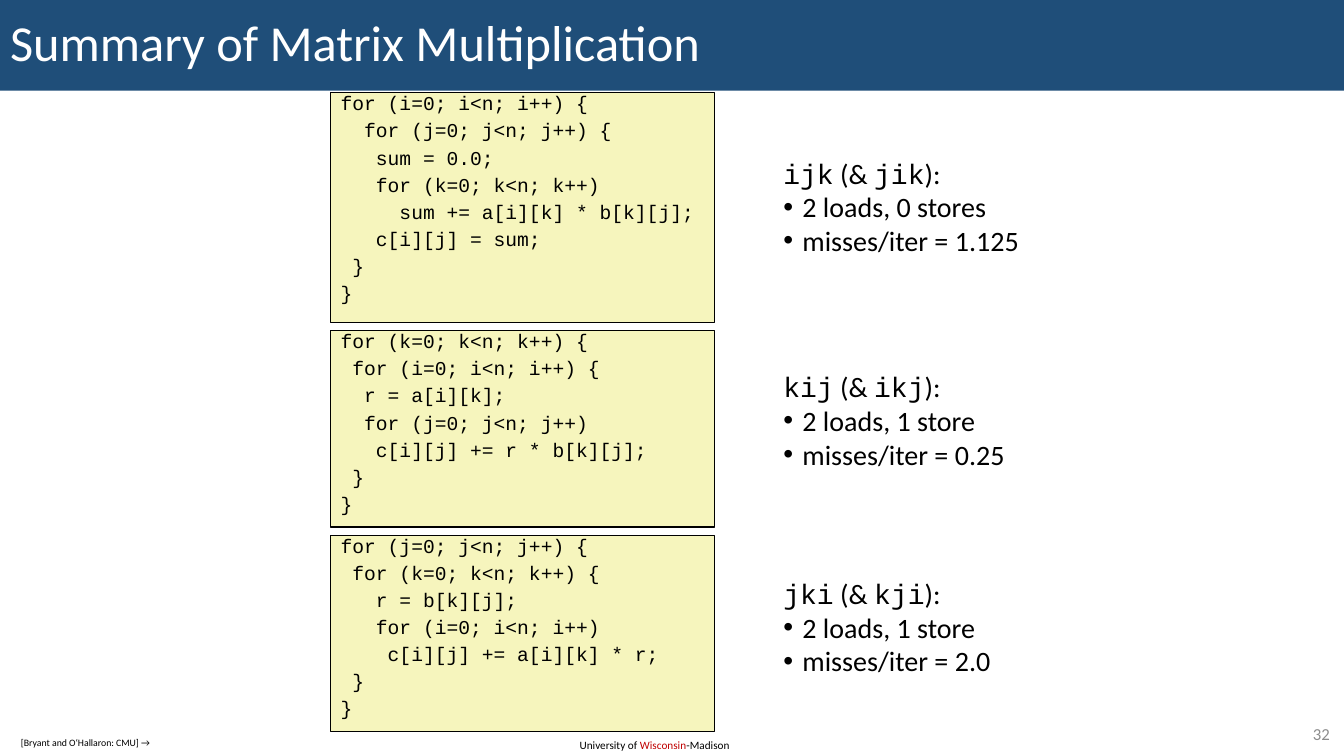
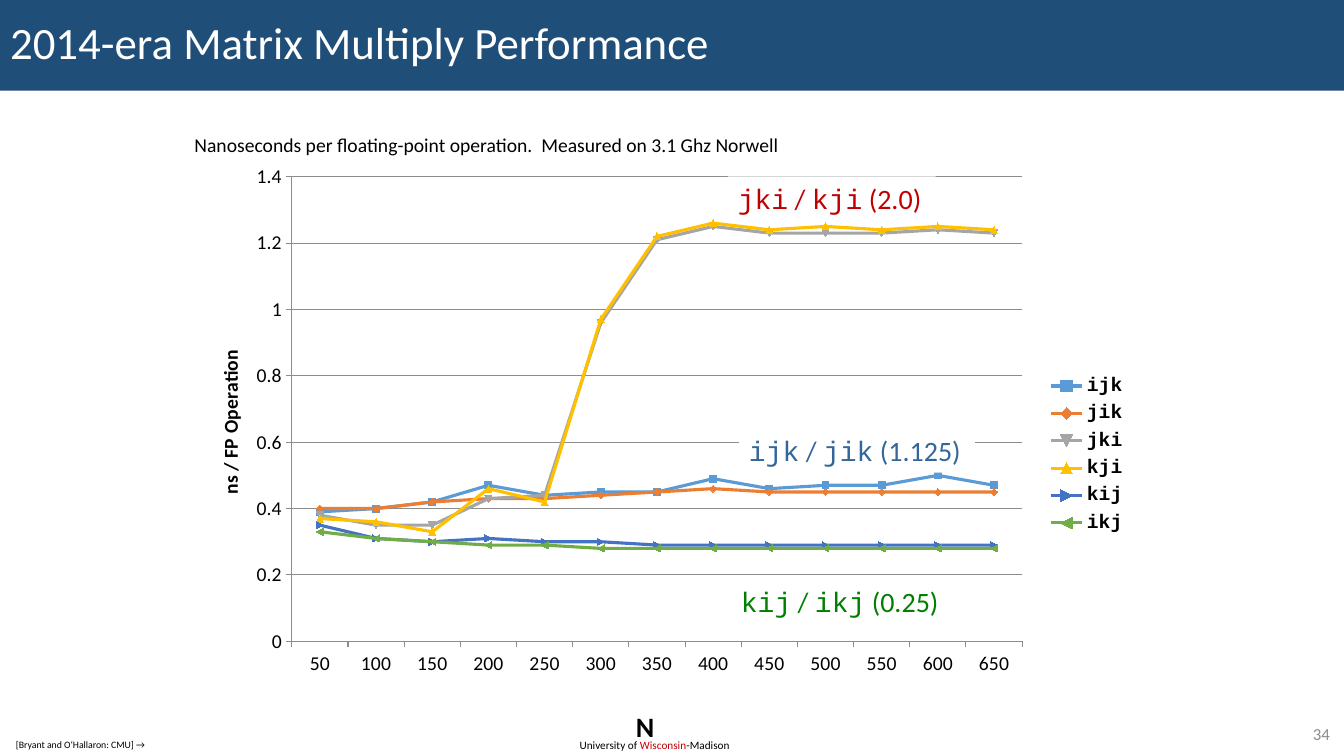
from lxml import etree
from pptx import Presentation
from pptx.chart.data import CategoryChartData
from pptx.dml.color import RGBColor
from pptx.enum.chart import XL_CHART_TYPE, XL_LEGEND_POSITION, XL_TICK_MARK
from pptx.enum.shapes import MSO_SHAPE
from pptx.enum.text import MSO_ANCHOR, PP_ALIGN
from pptx.oxml.ns import qn
from pptx.util import Inches, Pt

# Enum members
LINE_MARKERS = XL_CHART_TYPE.LINE_MARKERS
LEGEND_RIGHT = XL_LEGEND_POSITION.RIGHT
TICK_OUTSIDE = XL_TICK_MARK.OUTSIDE
TICK_NONE = XL_TICK_MARK.NONE
RECTANGLE = MSO_SHAPE.RECTANGLE
TOP, MIDDLE = MSO_ANCHOR.TOP, MSO_ANCHOR.MIDDLE
LEFT, RIGHT = PP_ALIGN.LEFT, PP_ALIGN.RIGHT

# Shared style
SANS, MONO = "Calibri", "Courier New"
BLACK = RGBColor(0x00, 0x00, 0x00)
WHITE = RGBColor(0xFF, 0xFF, 0xFF)
NAVY = RGBColor(0x1F, 0x4E, 0x79)
GRAY = RGBColor(0x8C, 0x8C, 0x8C)
RED = RGBColor(0xC0, 0x00, 0x00)
BLUE = RGBColor(0x33, 0x66, 0x99)
GREEN = RGBColor(0x00, 0x80, 0x00)
CODE_YELLOW = RGBColor(0xF6, 0xF5, 0xBD)
SLIDE_WIDTH, SLIDE_HEIGHT = 13.33, 7.5
TITLE_ONLY_LAYOUT = 5

# Summary slide: code, top, height, summary top, loop orders, bullets
LOOP_VERSIONS = [
    ("""for (i=0; i<n; i++) {
  for (j=0; j<n; j++) {
   sum = 0.0;
   for (k=0; k<n; k++)
     sum += a[i][k] * b[k][j];
   c[i][j] = sum;
 }
}""", 0.92, 2.28, 1.5, ("ijk", "jik"), ["2 loads, 0 stores", "misses/iter = 1.125"]),
    ("""for (k=0; k<n; k++) {
 for (i=0; i<n; i++) {
  r = a[i][k];
  for (j=0; j<n; j++)
   c[i][j] += r * b[k][j];
 }
}""", 3.28, 1.95, 3.62, ("kij", "ikj"), ["2 loads, 1 store", "misses/iter = 0.25"]),
    ("""for (j=0; j<n; j++) {
 for (k=0; k<n; k++) {
   r = b[k][j];
   for (i=0; i<n; i++)
    c[i][j] += a[i][k] * r;
 }
}""", 5.31, 1.95, 5.67, ("jki", "kji"), ["2 loads, 1 store", "misses/iter = 2.0"]),
]

# Performance slide
MATRIX_SIZES = range(50, 651, 50)
TIMINGS = [
    ("ijk", RGBColor(0x5B, 0x9B, 0xD5),
     [0.39, 0.4, 0.42, 0.47, 0.44, 0.45, 0.45, 0.49, 0.46, 0.47, 0.47, 0.5, 0.47]),
    ("jik", RGBColor(0xED, 0x7D, 0x31),
     [0.4, 0.4, 0.42, 0.43, 0.43, 0.44, 0.45, 0.46, 0.45, 0.45, 0.45, 0.45, 0.45]),
    ("jki", RGBColor(0xA5, 0xA5, 0xA5),
     [0.38, 0.35, 0.35, 0.43, 0.44, 0.96, 1.21, 1.25, 1.23, 1.23, 1.23, 1.24, 1.23]),
    ("kji", RGBColor(0xFF, 0xC0, 0x00),
     [0.37, 0.36, 0.33, 0.46, 0.42, 0.97, 1.22, 1.26, 1.24, 1.25, 1.24, 1.25, 1.24]),
    ("kij", RGBColor(0x44, 0x72, 0xC4),
     [0.35, 0.31, 0.3, 0.31, 0.3, 0.3, 0.29, 0.29, 0.29, 0.29, 0.29, 0.29, 0.29]),
    ("ikj", RGBColor(0x70, 0xAD, 0x47),
     [0.33, 0.31, 0.3, 0.29, 0.29, 0.28, 0.28, 0.28, 0.28, 0.28, 0.28, 0.28, 0.28]),
]
CURVE_LABELS = [
    (7.33, 4.25, 2.34, ("ijk", "jik"), "1.125", BLUE),
    (7.22, 1.75, 2.06, ("jki", "kji"), "2.0", RED),
    (7.25, 5.75, 2.2, ("kij", "ikj"), "0.25", GREEN),
]


# Text and boxes
def style_font(font, size, color=BLACK, name=SANS, bold=False):
    font.size = Pt(size)
    font.color.rgb = color
    font.name = name
    font.bold = bold


def add_runs(paragraph, pieces, size):
    """Append (text, font name, color) pieces to a paragraph."""
    for text, name, color in pieces:
        run = paragraph.add_run()
        run.text = text
        style_font(run.font, size, color, name)


def add_box(slide, left, top, width, height, fill=None, line=None, anchor=TOP):
    """Add a rectangle for text and return its text frame."""
    shape = slide.shapes.add_shape(
        RECTANGLE, Inches(left), Inches(top), Inches(width), Inches(height))
    shape.shadow.inherit = False
    if fill is None:
        shape.fill.background()
    else:
        shape.fill.solid()
        shape.fill.fore_color.rgb = fill
    if line is None:
        shape.line.fill.background()
    else:
        shape.line.color.rgb = line
        shape.line.width = Pt(1)
    frame = shape.text_frame
    frame.word_wrap = True
    frame.vertical_anchor = anchor
    frame.paragraphs[0].alignment = LEFT
    return frame


def set_bullet(paragraph, indent):
    properties = paragraph._p.get_or_add_pPr()
    properties.set("marL", str(Inches(indent)))
    properties.set("indent", str(-Inches(indent)))
    etree.SubElement(properties, qn("a:buFont"), typeface="Arial")
    etree.SubElement(properties, qn("a:buChar"), char="•")


# Shared slide frame
def add_framed_slide(presentation, title_text, title_size, number, source_left, source_top):
    slide = presentation.slides.add_slide(presentation.slide_layouts[TITLE_ONLY_LAYOUT])
    title = slide.shapes.title
    title.left, title.top = Inches(0), Inches(0)
    title.width, title.height = Inches(SLIDE_WIDTH), Inches(0.9)
    title.fill.solid()
    title.fill.fore_color.rgb = NAVY
    title.text_frame.text = title_text
    title.text_frame.vertical_anchor = MIDDLE
    paragraph = title.text_frame.paragraphs[0]
    paragraph.alignment = LEFT
    paragraph.line_spacing = 0.9
    style_font(paragraph.runs[0].font, title_size, WHITE)

    footer = add_box(slide, 5.65, 7.28, 1.72, 0.24)
    add_runs(footer.paragraphs[0], [
        ("University of ", SANS, BLACK), ("Wisconsin", SANS, RED), ("-Madison", SANS, BLACK)], 8)

    page = add_box(slide, 12.53, 7.13, 0.76, 0.29, anchor=MIDDLE).paragraphs[0]
    page.alignment = RIGHT
    add_runs(page, [(str(number), SANS, GRAY)], 12)

    source = add_box(slide, source_left, source_top, 1.6, 0.22, WHITE)
    add_runs(source.paragraphs[0], [("[Bryant and O‘Hallaron: CMU] →", SANS, BLACK)], 7)
    return slide


# Summary slide parts
def add_code(slide, code, top, height):
    frame = add_box(slide, 3.28, top, 3.81, height, CODE_YELLOW, BLACK)
    frame.text = code
    for index, paragraph in enumerate(frame.paragraphs):
        paragraph.alignment = LEFT
        paragraph.line_spacing = 0.7
        paragraph.space_before = Pt(7.6 if index else 0)
        style_font(paragraph.runs[0].font, 14, name=MONO)


def add_loop_summary(slide, top, orders, bullets):
    frame = add_box(slide, 7.67, top, 2.68, 1.11)
    add_runs(frame.paragraphs[0], [
        (orders[0], MONO, BLACK), (" (& ", SANS, BLACK),
        (orders[1], MONO, BLACK), ("):", SANS, BLACK)], 20)
    for text in bullets:
        paragraph = frame.add_paragraph()
        paragraph.alignment = LEFT
        set_bullet(paragraph, 0.19)
        add_runs(paragraph, [(text, SANS, BLACK)], 20)


# Performance slide parts
def place_in_chart(element, **fractions):
    """Place a chart part by fractions of the chart's size."""
    layout = element.find(qn("c:layout"))
    if layout is None:
        layout = etree.SubElement(element, qn("c:layout"))
        has_position = element.find(qn("c:legendPos")) is not None
        element.insert(1 if has_position else 0, layout)
    manual = etree.SubElement(layout, qn("c:manualLayout"))
    if element.tag == qn("c:plotArea"):
        etree.SubElement(manual, qn("c:layoutTarget"), val="inner")
    for mode in ("xMode", "yMode"):
        etree.SubElement(manual, qn(f"c:{mode}"), val="edge")
    for name, value in fractions.items():
        etree.SubElement(manual, qn(f"c:{name}"), val=str(value))


def format_axis(axis, title, title_size, x, y):
    axis.major_tick_mark = TICK_OUTSIDE
    axis.minor_tick_mark = TICK_NONE
    axis.format.line.color.rgb = GRAY
    style_font(axis.tick_labels.font, 14)
    frame = axis.axis_title.text_frame
    frame.text = title
    style_font(frame.paragraphs[0].runs[0].font, title_size, bold=True)
    place_in_chart(axis.axis_title.element, x=x, y=y)


def add_timing_chart(slide):
    data = CategoryChartData()
    data.categories = [str(size) for size in MATRIX_SIZES]
    for name, _, values in TIMINGS:
        data.add_series(name, values)
    chart = slide.shapes.add_chart(
        LINE_MARKERS, Inches(1.83), Inches(1.52), Inches(9.42), Inches(5.98), data).chart
    chart.has_title = False
    style_font(chart.font, 10)
    plot = chart.plots[0]
    plot.vary_by_categories = False
    for series, (_, color, _) in zip(plot.series, TIMINGS):
        series.smooth = False
        series.format.line.color.rgb = color
        series.format.line.width = Pt(2.25)
        series.marker.size = 5
        series.marker.format.fill.solid()
        series.marker.format.fill.fore_color.rgb = color
        series.marker.format.line.color.rgb = color

    format_axis(chart.category_axis, "N", 20, 0.47, 0.91)
    value_axis = chart.value_axis
    format_axis(value_axis, "ns / FP Operation", 14, 0.03, 0.32)
    value_axis.axis_title.element.find(".//" + qn("a:bodyPr")).set("rot", "-5400000")
    value_axis.minimum_scale, value_axis.maximum_scale = 0, 1.4
    value_axis.major_unit = 0.2
    value_axis.has_major_gridlines = True
    value_axis.major_gridlines.format.line.color.rgb = GRAY

    chart.has_legend = True
    legend = chart.legend
    legend.position = LEGEND_RIGHT
    legend.include_in_layout = False
    style_font(legend.font, 14, name=MONO, bold=True)
    place_in_chart(legend._element, x=0.9, y=0.36, w=0.1, h=0.28)
    plot_area = chart._chartSpace.find(".//" + qn("c:plotArea"))
    place_in_chart(plot_area, x=0.113, y=0.039, w=0.769, h=0.771)


def add_curve_label(slide, left, top, width, orders, misses, color):
    frame = add_box(slide, left, top, width, 0.44, WHITE)
    add_runs(frame.paragraphs[0], [
        (orders[0], MONO, color), (" / ", SANS, color),
        (orders[1], MONO, color), (f" ({misses})", SANS, color)], 20)


# Slides
def build_summary(presentation):
    slide = add_framed_slide(
        presentation, "Summary of Matrix Multiplication", 36, 32, 0.11, 7.26)
    for code, top, height, summary_top, orders, bullets in LOOP_VERSIONS:
        add_code(slide, code, top, height)
        add_loop_summary(slide, summary_top, orders, bullets)


def build_performance(presentation):
    slide = add_framed_slide(
        presentation, "2014-era Matrix Multiply Performance", 32, 34, 0.06, 7.28)
    add_timing_chart(slide)
    caption = add_box(slide, 1.83, 1.27, 6.2, 0.34)
    add_runs(caption.paragraphs[0], [
        ("Nanoseconds per floating-point operation.  Measured on 3.1 Ghz Norwell",
         SANS, BLACK)], 14)
    for label in CURVE_LABELS:
        add_curve_label(slide, *label)


def main():
    presentation = Presentation()
    presentation.slide_width = Inches(SLIDE_WIDTH)
    presentation.slide_height = Inches(SLIDE_HEIGHT)
    build_summary(presentation)
    build_performance(presentation)
    presentation.save("out.pptx")


if __name__ == "__main__":
    main()
